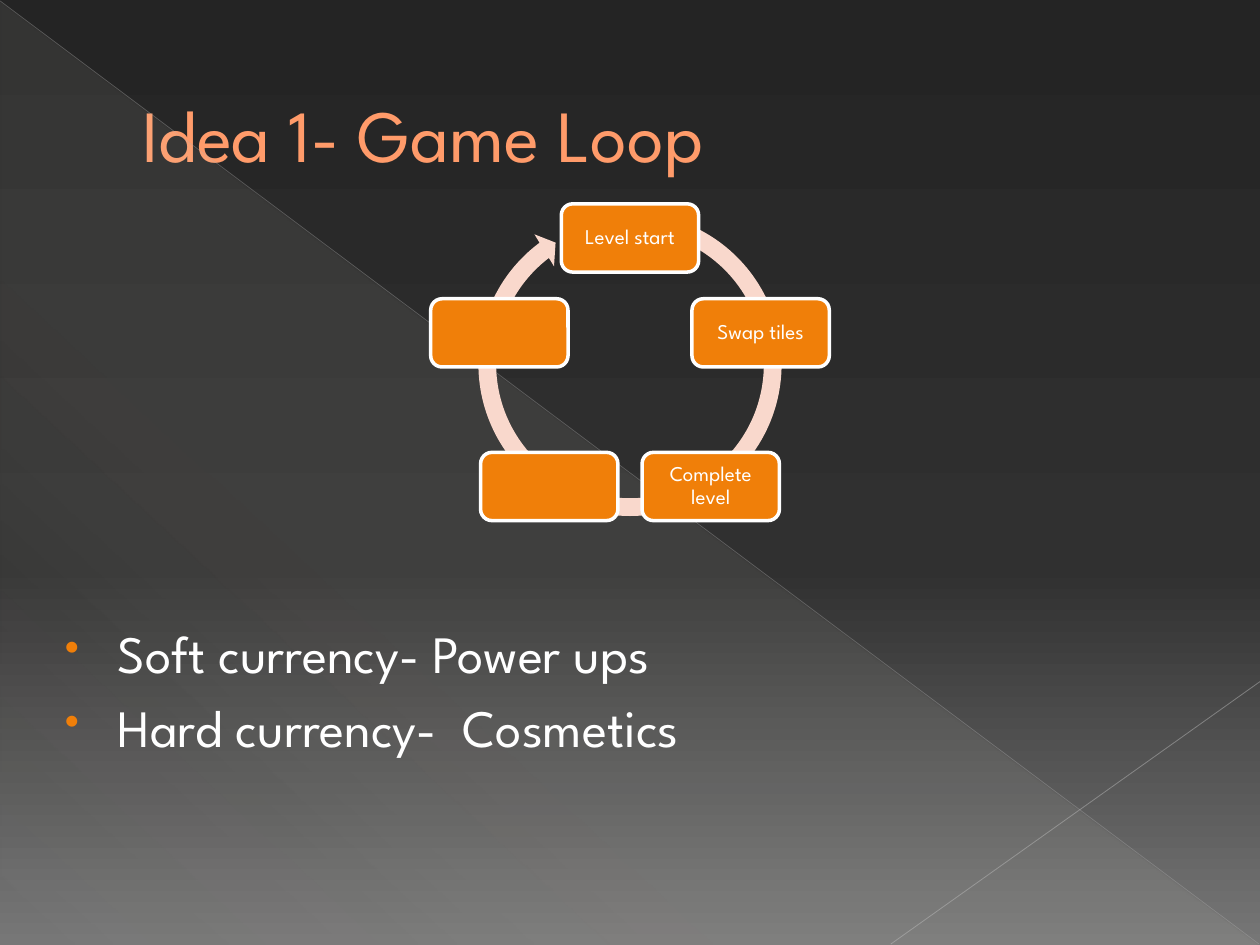
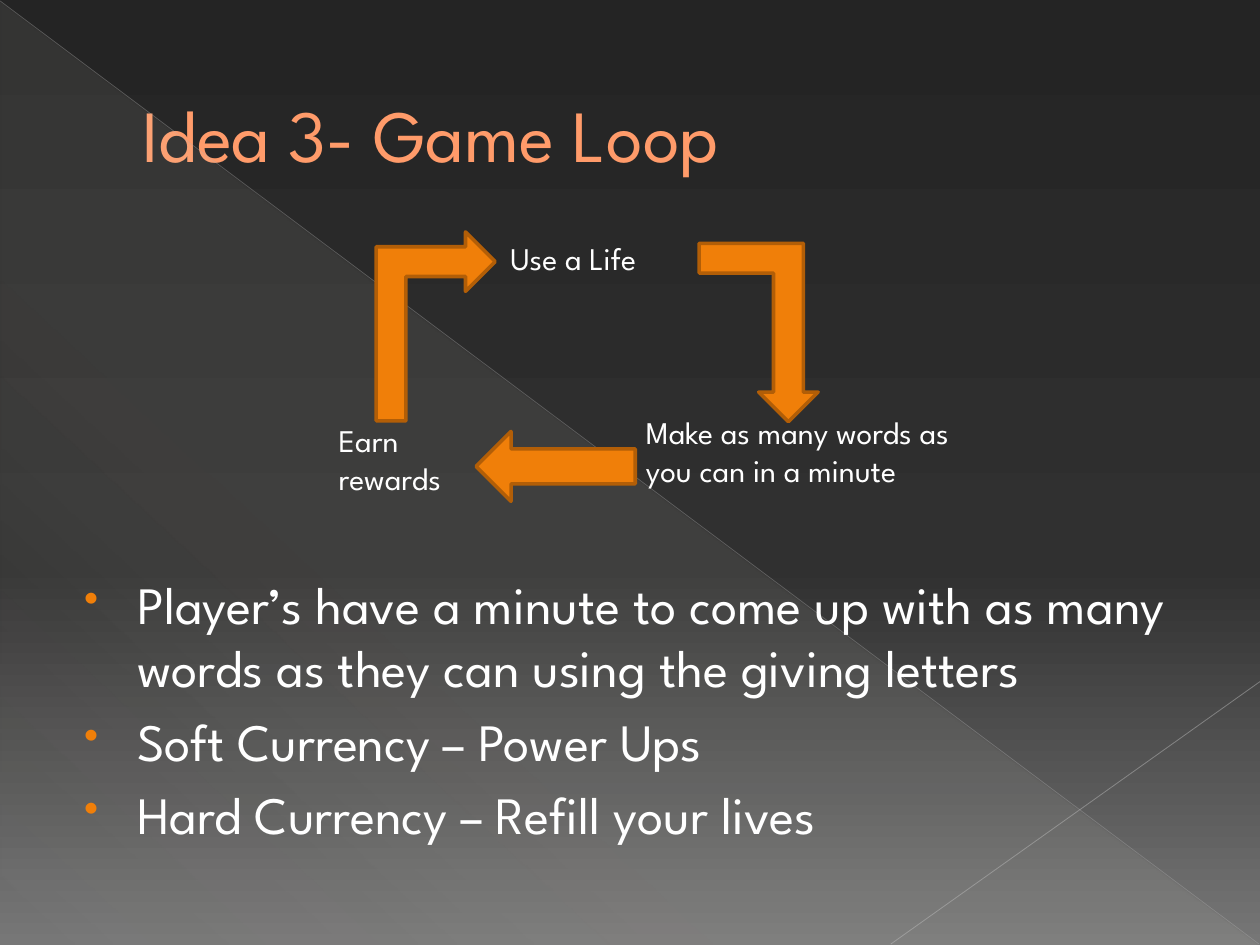
import math

import lxml.etree
import pptx
import pptx.dml.color
import pptx.enum.shapes
import pptx.enum.text
import pptx.oxml.ns
import pptx.util

Pt = pptx.util.Pt
SHAPES = pptx.enum.shapes.MSO_SHAPE
ALIGN = pptx.enum.text.PP_ALIGN
ANCHOR = pptx.enum.text.MSO_ANCHOR

FONT = "League Spartan"
COLOURS = {
    "background_top": "242424",
    "background_middle": "303030",
    "background_bottom": "767676",
    "veil": "E3DED1",
    "long_line": "B6B6B6",
    "short_line": "BFBFBF",
    "title": "FF9B6A",
    "text": "FFFFFF",
    "accent": "F07F09",
    "accent_edge": "B25E07",
    "ring": "F9D8CC",
}
WIDTH, HEIGHT = 720, 540


def rgb(name):
    return pptx.dml.color.RGBColor.from_string(COLOURS[name])


def add_child(parent, tag, **attributes):
    child = lxml.etree.SubElement(parent, pptx.oxml.ns.qn(tag))
    for key, value in attributes.items():
        child.set(key, str(value))
    return child


def set_opacity(colour_element, percent):
    add_child(colour_element, "a:alpha", val=percent * 1000)


def set_gradient(fill, owner, stops, angle):
    """Fill with (position, colour, opacity) stops; owner is the element that holds the fill."""
    fill.gradient()
    gradient = owner.find(".//" + pptx.oxml.ns.qn("a:gradFill"))
    stop_list = gradient.find(pptx.oxml.ns.qn("a:gsLst"))
    for old_stop in list(stop_list):
        stop_list.remove(old_stop)
    for position, colour, opacity in stops:
        stop = add_child(stop_list, "a:gs", pos=position * 1000)
        set_opacity(add_child(stop, "a:srgbClr", val=COLOURS[colour]), opacity)
    gradient.find(pptx.oxml.ns.qn("a:lin")).set("ang", str(angle * 60000))


def write_text(frame, paragraphs, size=18, colour="text", align=ALIGN.LEFT, anchor=ANCHOR.TOP,
               margins=(7.2, 3.6), line_spacing=None, space_before=0, indent=(0, 0), bullet=None):
    """Write paragraphs into a frame; indent is (left, first line)."""
    frame.word_wrap = True
    frame.auto_size = pptx.enum.text.MSO_AUTO_SIZE.NONE
    frame.vertical_anchor = anchor
    frame.margin_left = frame.margin_right = Pt(margins[0])
    frame.margin_top = frame.margin_bottom = Pt(margins[1])
    for index, text in enumerate(paragraphs):
        paragraph = frame.add_paragraph() if index else frame.paragraphs[0]
        paragraph.alignment = align
        paragraph.space_before = Pt(space_before)
        if line_spacing:
            paragraph.line_spacing = line_spacing
        run = paragraph.add_run()
        run.text = text
        run.font.name = FONT
        run.font.size = Pt(size)
        run.font.color.rgb = rgb(colour)
        properties = paragraph._p.get_or_add_pPr()
        properties.set("marL", str(Pt(indent[0])))
        properties.set("indent", str(Pt(indent[1])))
        if bullet:
            add_child(add_child(properties, "a:buClr"), "a:srgbClr", val=COLOURS["accent"])
            add_child(properties, "a:buSzPct", val=80000)
            add_child(properties, "a:buChar", char=bullet)


def add_text(slide, box, paragraphs, **text_format):
    text_box = slide.shapes.add_textbox(*map(Pt, box))
    write_text(text_box.text_frame, paragraphs, **text_format)


def add_shape(slide, kind, box, fill=None, line=None, rotation=0, flip=False):
    shape = slide.shapes.add_shape(kind, *map(Pt, box))
    shape.shadow.inherit = False
    shape.rotation = rotation
    if fill:
        shape.fill.solid()
        shape.fill.fore_color.rgb = rgb(fill)
    if line:
        shape.line.color.rgb = rgb(line)
        shape.line.width = Pt(2)
    else:
        shape.line.fill.background()
    if flip:
        shape._element.spPr.find(pptx.oxml.ns.qn("a:xfrm")).set("flipH", "1")
    return shape


def add_line(slide, start, end, colour, width, opacity):
    line = slide.shapes.add_connector(
        pptx.enum.shapes.MSO_CONNECTOR.STRAIGHT, *map(Pt, start + end))
    line.line.color.rgb = rgb(colour)
    line.line.width = Pt(width)
    properties = line._element.spPr
    set_opacity(properties.find(".//" + pptx.oxml.ns.qn("a:srgbClr")), opacity)
    add_child(properties, "a:effectLst")


def add_backdrop(slide):
    set_gradient(slide.background.fill, slide._element,
                 [(0, "background_top", 100), (60, "background_middle", 100),
                  (100, "background_bottom", 100)], 90)
    veil = add_shape(slide, SHAPES.RIGHT_TRIANGLE, (0.5, 1, WIDTH - 1, HEIGHT - 1))
    set_gradient(veil.fill, veil._element,
                 [(0, "veil", 10), (70, "veil", 8), (100, "veil", 1)], 133)
    add_line(slide, (0, 0.5), (WIDTH - 0.5, HEIGHT - 0.5), "long_line", 0.39, 35)
    add_line(slide, (WIDTH, 389.5), (509, HEIGHT - 0.5), "short_line", 0.47, 45)


def add_titled_slide(presentation, title):
    slide = presentation.slides.add_slide(presentation.slide_layouts.get_by_name("Title Only"))
    add_backdrop(slide)
    placeholder = slide.shapes.title
    placeholder.left, placeholder.top, placeholder.width, placeholder.height = map(
        Pt, (36, 21, 648, 110))
    write_text(placeholder.text_frame, [title], size=42, colour="title",
               anchor=ANCHOR.MIDDLE, indent=(38, 0))
    return slide


def add_bullets(slide, box, items):
    add_text(slide, box, items, size=30, space_before=6, indent=(35.28, -30.24), bullet="•")


def add_step_ring(slide, box, steps):
    """Place the steps clockwise from the top of a ring that fills the box."""
    left, top, width, height = box
    step_width, step_height = 78.5, 39
    ring_size = 184.5
    radius = 78.5
    centre_x = left + width / 2
    centre_y = top + step_height / 2 + radius

    ring = add_shape(slide, SHAPES.CIRCULAR_ARROW,
                     (centre_x - ring_size / 2, top - 0.5, ring_size, ring_size), "ring")
    thickness, head_width = 0.055, 0.058
    head_angle, end_angle, start_angle = (degrees * 0.6 for degrees in (5.51, 233.06, 287.68))
    for index, value in enumerate((thickness, head_angle, end_angle, start_angle, head_width)):
        ring.adjustments[index] = value

    for index, step in enumerate(steps):
        angle = 2 * math.pi * index / len(steps)
        step_left = centre_x + radius * math.sin(angle) - step_width / 2
        step_top = centre_y - radius * math.cos(angle) - step_height / 2
        card = add_shape(slide, SHAPES.ROUNDED_RECTANGLE,
                         (step_left, step_top, step_width, step_height), "accent", "text")
        if step:
            write_text(card.text_frame, [step], size=12, align=ALIGN.CENTER,
                       anchor=ANCHOR.MIDDLE, margins=(5.4, 5.4), line_spacing=0.9)


def add_arrow_loop(slide, box):
    left, top = box[:2]
    arrows = [
        (SHAPES.BENT_UP_ARROW, (213, 6, 68, 102), 180, True),
        (SHAPES.BENT_UP_ARROW, (8.5, 19.5, 108, 68), 90, True),
        (SHAPES.DOWN_ARROW, (111, 88, 40, 91), 90, False),
    ]
    for kind, (x, y, width, height), rotation, flip in arrows:
        add_shape(slide, kind, (left + x, top + y, width, height),
                  "accent", "accent_edge", rotation, flip)
    labels = [
        ("Use a Life", (98, 0, 108, 29)),
        ("Earn rewards", (0, 104, 91, 51)),
        ("Make as many words as you can in a minute", (175.5, 99.5, 193, 73)),
    ]
    for text, (x, y, width, height) in labels:
        add_text(slide, (left + x, top + y, width, height), [text])


def main():
    presentation = pptx.Presentation()
    presentation.slide_width, presentation.slide_height = Pt(WIDTH), Pt(HEIGHT)

    tiles = add_titled_slide(presentation, "Idea 1- Game Loop")
    add_step_ring(tiles, (246, 116.5, 228, 182),
                  ["Level start", "Swap tiles", "Complete level", "", ""])
    add_bullets(tiles, (25, 351.5, 659, 157),
                ["Soft currency- Power ups", "Hard currency-  Cosmetics"])

    words = add_titled_slide(presentation, "Idea 3- Game Loop")
    add_bullets(words, (36, 323.5, 648, 196), [
        "Player’s have a minute to come up with as many words as they can "
        "using the giving letters",
        "Soft Currency – Power Ups",
        "Hard Currency – Refill your lives",
    ])
    add_arrow_loop(words, (186.5, 133, 368.5, 172.5))

    presentation.save("out.pptx")


if __name__ == "__main__":
    main()
